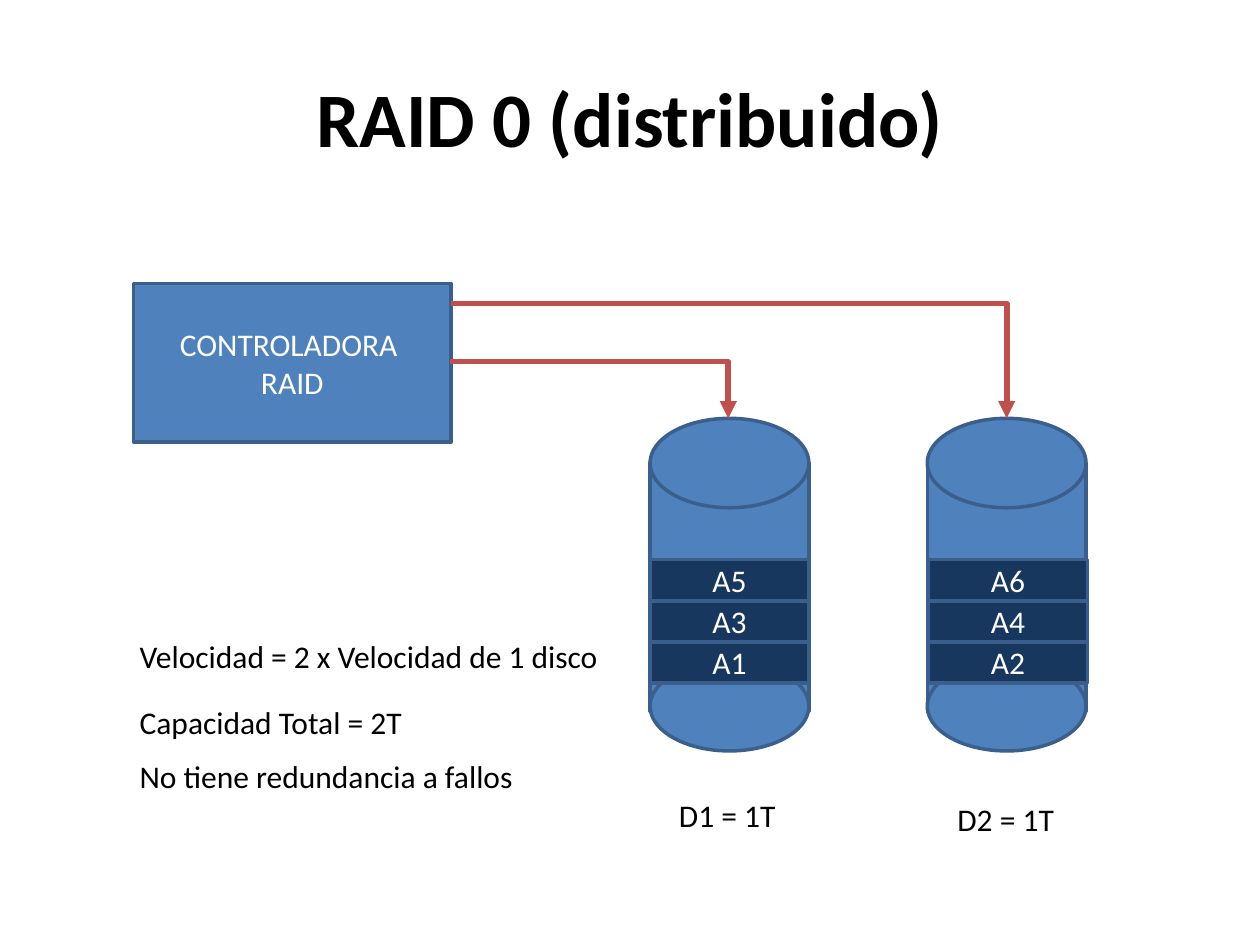
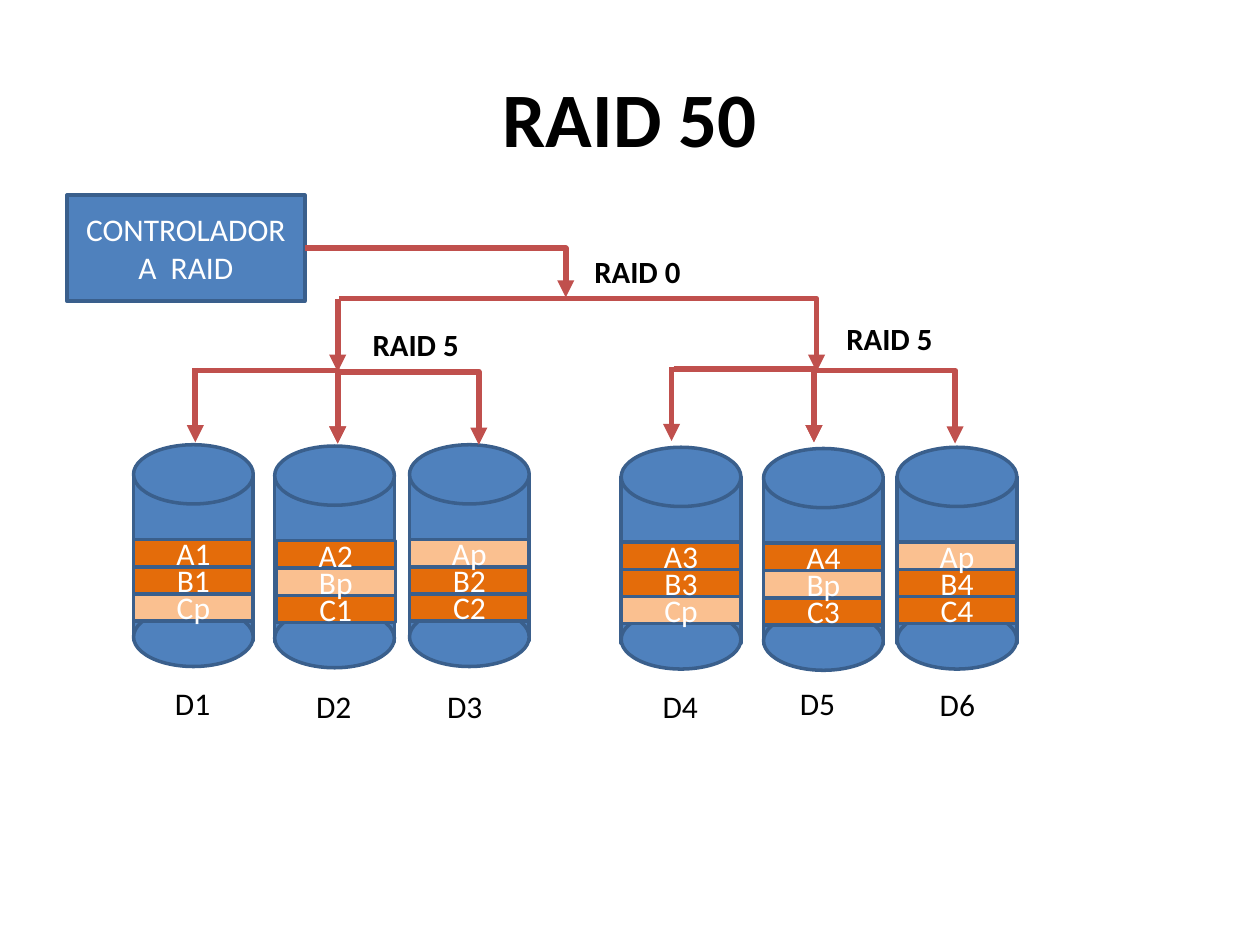
from dataclasses import dataclass

from lxml import etree
from pptx import Presentation
from pptx.dml.color import RGBColor
from pptx.enum import shapes, text
from pptx.oxml import ns
from pptx.util import Inches, Pt

# Shared look
BLUE = RGBColor(0x4F, 0x81, 0xBD)
EDGE = RGBColor(0x3A, 0x5F, 0x8C)
NAVY = RGBColor(0x17, 0x37, 0x5E)
ORANGE = RGBColor(0xE4, 0x6C, 0x0A)
PEACH = RGBColor(0xFA, 0xC0, 0x90)
RED = RGBColor(0xC0, 0x50, 0x4D)
BLACK = RGBColor(0, 0, 0)
WHITE = RGBColor(0xFF, 0xFF, 0xFF)
FONT = "Calibri"
RECT = shapes.MSO_SHAPE.RECTANGLE
OVAL = shapes.MSO_SHAPE.OVAL


@dataclass(frozen=True)
class Size:
    """Disk measures in inches; low, first and pitch place caps and blocks."""
    width: float
    body: float
    cap: float
    low: float
    first: float
    pitch: float
    block: float


@dataclass(frozen=True)
class Disk:
    left: float
    top: float
    blocks: tuple[str, ...]
    name: str
    name_x: float
    name_y: float
    shift: float = 0


@dataclass(frozen=True)
class Note:
    words: str
    left: float
    top: float


LARGE = Size(1.26, 1.97, 0.71, 1.93, 1.12, 0.325, 0.33)
SMALL = Size(0.95, 1.32, 0.47, 1.29, 0.75, 0.215, 0.22)

PAIR = (
    Disk(5.16, 3.32, ("A5", "A3", "A1"), "D1 = 1T", 5.29, 6.27),
    Disk(7.36, 3.32, ("A6", "A4", "A2"), "D2 = 1T", 7.5, 6.3, 0.01),
)
FACTS = (
    Note("Velocidad = 2 x Velocidad de 1 disco", 1.01, 5.01),
    Note("Capacidad Total = 2T", 1.01, 5.53),
    Note("No tiene redundancia a fallos", 1.01, 5.96),
)
SIX = (
    Disk(1.06, 3.53, ("A1", "B1", "Cp"), "D1", 1.29, 5.38),
    Disk(2.18, 3.54, ("A2", "Bp", "C1"), "D2", 2.41, 5.4, 0.01),
    Disk(3.25, 3.53, ("Ap", "B2", "C2"), "D3", 3.45, 5.4),
    Disk(4.93, 3.55, ("A3", "B3", "Cp"), "D4", 5.16, 5.4),
    Disk(6.06, 3.56, ("A4", "Bp", "C3"), "D5", 6.25, 5.38),
    Disk(7.12, 3.55, ("Ap", "B4", "C4"), "D6", 7.36, 5.39),
)
LEVELS = (
    Note("RAID 0", 3.93, 1.97),
    Note("RAID 5", 2.17, 2.55),
    Note("RAID 5", 5.93, 2.5),
)


def write(frame, words: str, *, size: float = 18, color: RGBColor = BLACK,
          bold: bool = False, center: bool = True, wrap: bool = True) -> None:
    frame.word_wrap = wrap
    frame.vertical_anchor = (text.MSO_ANCHOR.MIDDLE if center
                             else text.MSO_ANCHOR.TOP)
    para = frame.paragraphs[0]
    para.alignment = text.PP_ALIGN.CENTER if center else text.PP_ALIGN.LEFT
    run = para.add_run()
    run.text = words
    run.font.name = FONT
    run.font.size = Pt(size)
    run.font.bold = bold
    run.font.color.rgb = color


def label(slide, note: Note, width: float, height: float, **style) -> None:
    box = slide.shapes.add_textbox(Inches(note.left), Inches(note.top),
                                   Inches(width), Inches(height))
    write(box.text_frame, note.words, **style)


def solid(tree, kind, left: float, top: float, width: float, height: float,
          fill: RGBColor = BLUE, words: str = "") -> None:
    item = tree.add_shape(kind, Inches(left), Inches(top),
                          Inches(width), Inches(height))
    item.shadow.inherit = False
    item.fill.solid()
    item.fill.fore_color.rgb = fill
    item.line.color.rgb = EDGE
    item.line.width = Pt(2)
    if words:
        write(item.text_frame, words, color=WHITE)


def arrow(tree, x: float, y: float, to_x: float, to_y: float) -> None:
    """Straight when upright, otherwise across and then down."""
    bent = x != to_x
    kind = shapes.MSO_CONNECTOR.ELBOW if bent else shapes.MSO_CONNECTOR.STRAIGHT
    link = tree.add_connector(kind, Inches(x), Inches(y),
                              Inches(to_x), Inches(to_y))
    link.line.color.rgb = RED
    link.line.width = Pt(3.25)
    props = link._element.spPr
    if bent:
        props.find(ns.qn("a:prstGeom")).set("prst", "bentConnector2")
    etree.SubElement(props.find(ns.qn("a:ln")), ns.qn("a:tailEnd"),
                     type="triangle")
    etree.SubElement(props, ns.qn("a:effectLst"))


def draw(slide, disk: Disk, size: Size, data: RGBColor) -> None:
    tree = slide.shapes.add_group_shape().shapes
    left, top = disk.left, disk.top
    solid(tree, RECT, left, top + size.cap / 2, size.width, size.body)
    for y in (top, top + size.low):
        solid(tree, OVAL, left, y, size.width, size.cap)
    # Lowest block first, so each one overlaps the block below
    for row, words in reversed(list(enumerate(disk.blocks))):
        fill = PEACH if words.endswith("p") else data
        solid(tree, RECT, left + disk.shift,
              top + size.first + row * size.pitch,
              size.width, size.block, fill, words)


def fork(slide, x: float, y: float) -> None:
    """Three arrows leading to one RAID 5 set."""
    tree = slide.shapes.add_group_shape().shapes
    step, drop = 1.11, 0.58
    arrow(tree, x, y, x + step, y + drop)
    arrow(tree, x - 0.02, y - 0.02, x - 0.02, y + drop - 0.01)
    arrow(tree, x + step + 0.01, y + 0.01, x + 2 * step + 0.01, y + drop + 0.01)
    arrow(tree, x + step, y - 0.01, x + step, y + drop)


def start(deck, title: str, left: float, top: float,
          width: float, height: float):
    """Slide with its title and the controller box."""
    slide = deck.slides.add_slide(deck.slide_layouts[5])
    head = slide.shapes.title
    head.left, head.top = Inches(0.5), Inches(0.3)
    head.width, head.height = Inches(9), Inches(1.25)
    write(head.text_frame, title, size=44, bold=True)
    solid(slide.shapes, RECT, left, top, width, height,
          words="CONTROLADORA  RAID")
    return slide


def fill_disks(slide, disks: tuple[Disk, ...], size: Size, data: RGBColor,
               width: float) -> None:
    for disk in disks:
        draw(slide, disk, size, data)
        label(slide, Note(disk.name, disk.name_x, disk.name_y), width, 0.4,
              center=False, wrap=False)


def raid_0(deck) -> None:
    slide = start(deck, "RAID 0 (distribuido)", 1.06, 2.25, 2.52, 1.26)
    fill_disks(slide, PAIR, LARGE, NAVY, 0.98)
    arrow(slide.shapes, 3.58, 2.41, 7.99, 3.32)
    arrow(slide.shapes, 3.57, 2.87, 5.78, 3.32)
    for fact in FACTS:
        label(slide, fact, 3.89, 0.4, center=False, wrap=False)


def raid_50(deck) -> None:
    slide = start(deck, "RAID 50", 0.53, 1.55, 1.89, 0.84)
    fill_disks(slide, SIX, SMALL, ORANGE, 0.49)
    # Controller to RAID 0, then to both RAID 5 sets
    arrow(slide.shapes, 2.42, 1.97, 4.49, 2.36)
    arrow(slide.shapes, 2.69, 2.37, 6.48, 2.95)
    arrow(slide.shapes, 2.68, 2.37, 2.68, 2.95)
    fork(slide, 1.57, 2.94)
    fork(slide, 5.35, 2.93)
    for level in LEVELS:
        label(slide, level, 2.26, 0.37, size=17.6, bold=True)


def main() -> None:
    deck = Presentation()
    deck.slide_width, deck.slide_height = Inches(10), Inches(7.5)
    raid_0(deck)
    raid_50(deck)
    deck.save("out.pptx")


if __name__ == "__main__":
    main()
